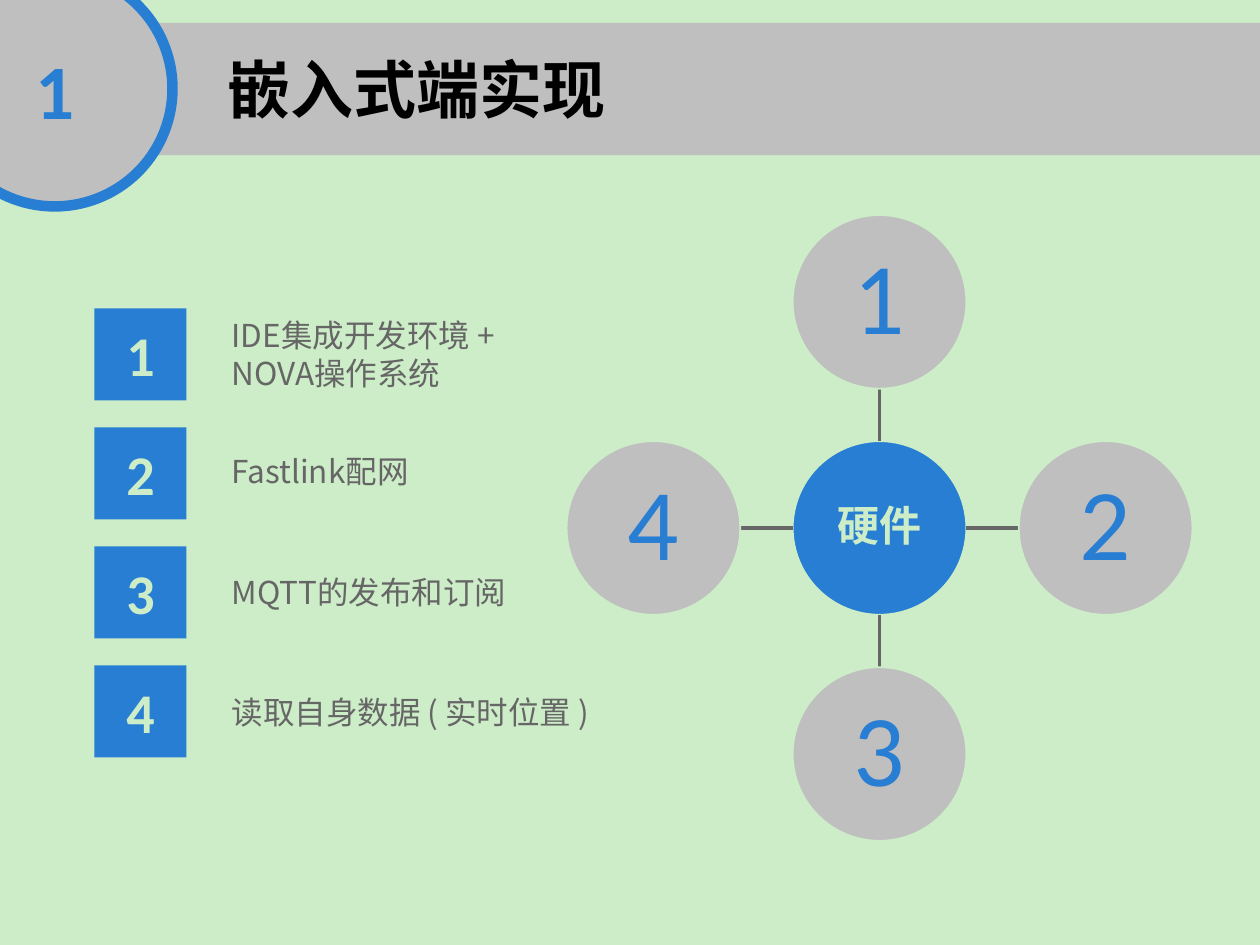
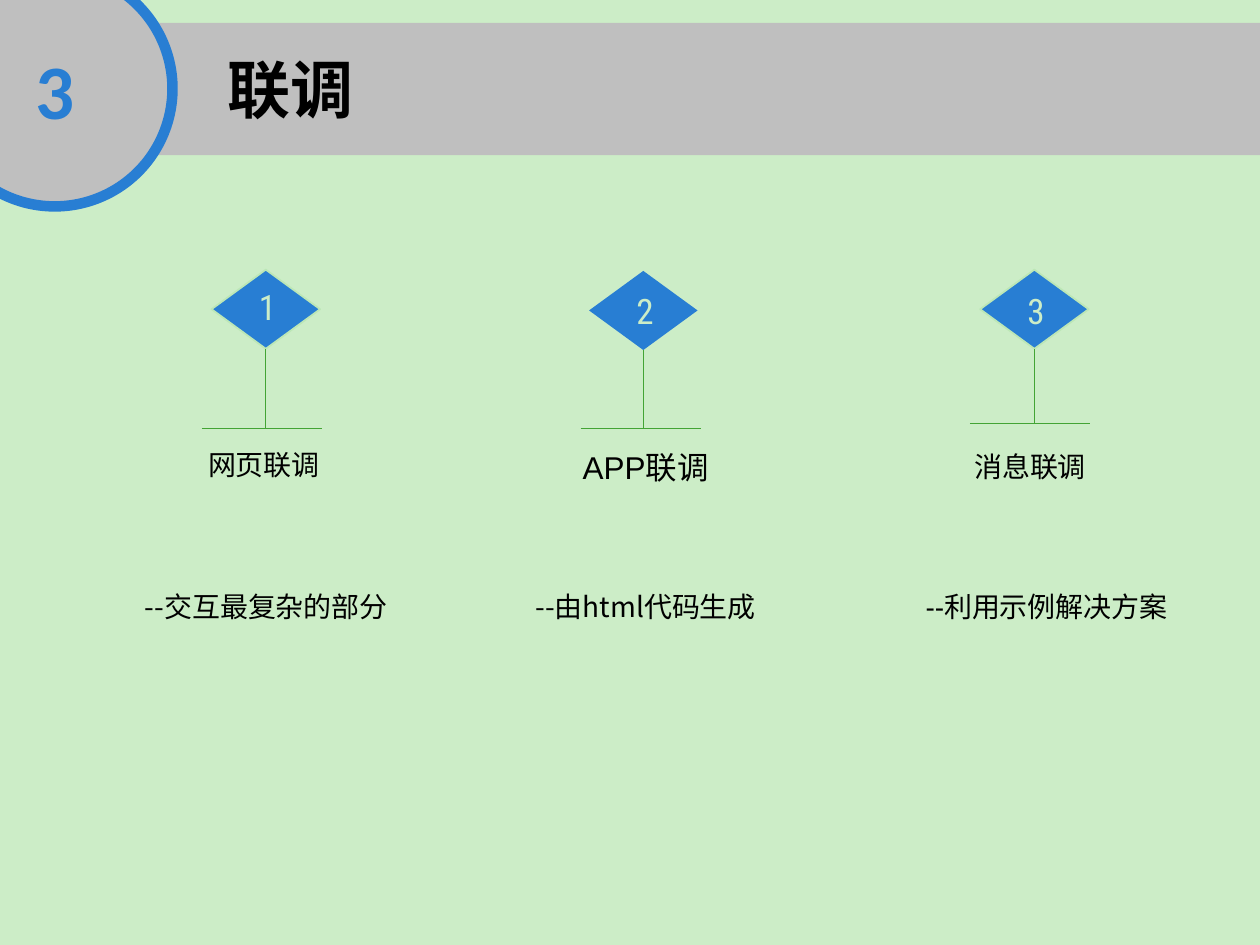
import pptx
import pptx.util
import pptx.dml.color
import pptx.enum.shapes
import pptx.enum.text
import pptx.oxml.ns
import lxml.etree

Pt = pptx.util.Pt
RGB = pptx.dml.color.RGBColor
SHAPE = pptx.enum.shapes.MSO_SHAPE
ALIGN = pptx.enum.text.PP_ALIGN
ANCHOR = pptx.enum.text.MSO_ANCHOR
qn = pptx.oxml.ns.qn

CJK, LATIN, DIGIT, ARIAL = "Noto Sans CJK SC", "Calibri", "Roboto Condensed", "Arial"
MINT = RGB(0xCC, 0xED, 0xC7)
PALE_GREEN = RGB(0xBC, 0xE7, 0xB6)
GREEN = RGB(0x43, 0xA4, 0x35)
BLUE = RGB(0x28, 0x7E, 0xD3)
SILVER = RGB(0xBF, 0xBF, 0xBF)
GRAY = RGB(0x66, 0x66, 0x66)
BLACK = RGB(0, 0, 0)

# Hardware slide: label lines and the top of each label
STEPS = [
    (["IDE集成开发环境 +", "NOVA操作系统"], 177.1),
    (["Fastlink配网"], 254.9),
    (["MQTT的发布和订阅"], 324),
    (["读取自身数据 ( 实时位置 )"], 392.4),
]
HUB = "硬件"
SPOKES = [("1", 0, -1), ("2", 1, 0), ("3", 0, 1), ("4", -1, 0)]

# Integration slide: caption and note are (runs, size, centre, top, width)
BRANCHES = [
    dict(x=151.9, top=154.1, outline=PALE_GREEN, digit_top=159.8, base=(149.8, 244.8),
         caption=([("网页联调", CJK)], 16, 150.8, 252, 111.6),
         note=([("--交互最复杂的部分", CJK)], 16, 152.2, 333.4, 162)),
    dict(x=367.6, top=154.8, outline=None, digit_top=162, base=(366.2, 244.8),
         caption=([("APP联调", ARIAL)], 18, 369, 252.7, 87.1),
         note=([("--由html代码生成", CJK)], 16, 369, 333.4, 144.7)),
    dict(x=591.1, top=154.1, outline=PALE_GREEN, digit_top=162, base=(588.6, 241.9),
         caption=([("消息联调", CJK)], 16, 588.6, 253.4, 87.1),
         note=([("--", ARIAL), ("利用示例解决方案", CJK)], 16, 598, 333.4, 154.8)),
]


def add_run(p, text, font, size, color, bold=False):
    r = p.add_run()
    r.text = text
    r.font.name, r.font.size, r.font.bold = font, Pt(size), bold
    r.font.color.rgb = color
    ea = lxml.etree.SubElement(r._r.get_or_add_rPr(), qn("a:ea"))
    ea.set("typeface", CJK)


def add_block(s, kind, x, y, w, h, fill, line=None, line_width=1):
    sp = s.shapes.add_shape(kind, Pt(x), Pt(y), Pt(w), Pt(h))
    sp.shadow.inherit = False
    sp.fill.solid()
    sp.fill.fore_color.rgb = fill
    if line is None:
        sp.line.fill.background()
    else:
        sp.line.color.rgb = line
        sp.line.width = Pt(line_width)
    return sp


def set_centred(sp, text, font, size, color, bold=False):
    tf = sp.text_frame
    tf.vertical_anchor = ANCHOR.MIDDLE
    p = tf.paragraphs[0]
    p.alignment = ALIGN.CENTER
    add_run(p, text, font, size, color, bold)


def add_text(s, x, y, w, h, lines, size, color, bold=False, align=ALIGN.LEFT):
    """Add a text box; each line is a list of (text, font) runs."""
    tf = s.shapes.add_textbox(Pt(x), Pt(y), Pt(w), Pt(h)).text_frame
    tf.word_wrap = True
    for i, runs in enumerate(lines):
        p = tf.add_paragraph() if i else tf.paragraphs[0]
        p.alignment = align
        for text, font in runs:
            add_run(p, text, font, size, color, bold)


def add_line(s, x1, y1, x2, y2, color, width):
    c = s.shapes.add_connector(pptx.enum.shapes.MSO_CONNECTOR.STRAIGHT,
                               Pt(x1), Pt(y1), Pt(x2), Pt(y2))
    c.line.color.rgb = color
    c.line.width = Pt(width)
    lxml.etree.SubElement(c._element.spPr, qn("a:effectLst"))
    return c


def add_section_slide(prs, number, title):
    s = prs.slides.add_slide(prs.slide_layouts[6])
    s.background.fill.solid()
    s.background.fill.fore_color.rgb = MINT
    add_block(s, SHAPE.RECTANGLE, 61.9, 13, 658.1, 75.6, SILVER)
    badge = add_block(s, SHAPE.OVAL, -36, -16.6, 134.6, 134.6, SILVER, BLUE, 6)
    set_centred(badge, number, LATIN, 44, BLUE, True)
    add_text(s, 123.1, 25.2, 445.7, 51.1, [[(title, CJK)]], 36, BLACK, True)
    return s


def add_node(s, cx, cy, diameter, fill, *text):
    sp = add_block(s, SHAPE.OVAL, cx - diameter / 2, cy - diameter / 2,
                   diameter, diameter, fill, MINT)
    tf = sp.text_frame
    tf.margin_left = tf.margin_right = tf.margin_top = tf.margin_bottom = 0
    set_centred(sp, *text)
    tf.paragraphs[0].line_spacing = 0.9


def build_hardware(prs):
    s = add_section_slide(prs, "1", "嵌入式端实现")
    cx, cy, diameter, reach = 502.6, 301.7, 99.2, 129.2
    radius = diameter / 2
    add_node(s, cx, cy, diameter, BLUE, HUB, CJK, 24, MINT, True)
    for number, dx, dy in SPOKES:
        near, far = radius, reach - radius
        add_line(s, cx + dx * near, cy + dy * near, cx + dx * far, cy + dy * far, GRAY, 2.25)
        add_node(s, cx + dx * reach, cy + dy * reach, diameter, SILVER, number, LATIN, 58, BLUE)

    side, pitch = 52.6, 68
    for i, (lines, top) in enumerate(STEPS):
        sp = add_block(s, SHAPE.RECTANGLE, 54, 176.2 + i * pitch, side, side, BLUE)
        set_centred(sp, str(i + 1), LATIN, 32, MINT, True)
        add_text(s, 125.3, top, 227.5, 7.2 + 21.8 * len(lines),
                 [[(line, CJK)] for line in lines], 18, GRAY)


def build_integration(prs):
    s = add_section_slide(prs, "3", "联调")
    width, height, base_width, digit_width = 62, 45.2, 68.8, 25
    for i, b in enumerate(BRANCHES):
        diamond = add_block(s, SHAPE.DIAMOND, b["x"] - width / 2, b["top"], width, height,
                            BLUE, b["outline"])
        add_text(s, b["x"] + 1 - digit_width / 2, b["digit_top"], digit_width, 31.7,
                 [[(str(i + 1), DIGIT)]], 20, MINT, align=ALIGN.CENTER)
        base_x, base_y = b["base"]
        stem = add_line(s, b["x"], b["top"] + height, b["x"], base_y, GREEN, 0.5)
        stem.begin_connect(diamond, 2)
        add_line(s, base_x - base_width / 2, base_y, base_x + base_width / 2, base_y, GREEN, 0.5)
        for runs, size, centre, top, w in (b["caption"], b["note"]):
            add_text(s, centre - w / 2, top, w, 26.6, [runs], size, BLACK, align=ALIGN.CENTER)


def main():
    prs = pptx.Presentation()
    prs.slide_width, prs.slide_height = Pt(720), Pt(540)
    build_hardware(prs)
    build_integration(prs)
    prs.save("out.pptx")


if __name__ == "__main__":
    main()
